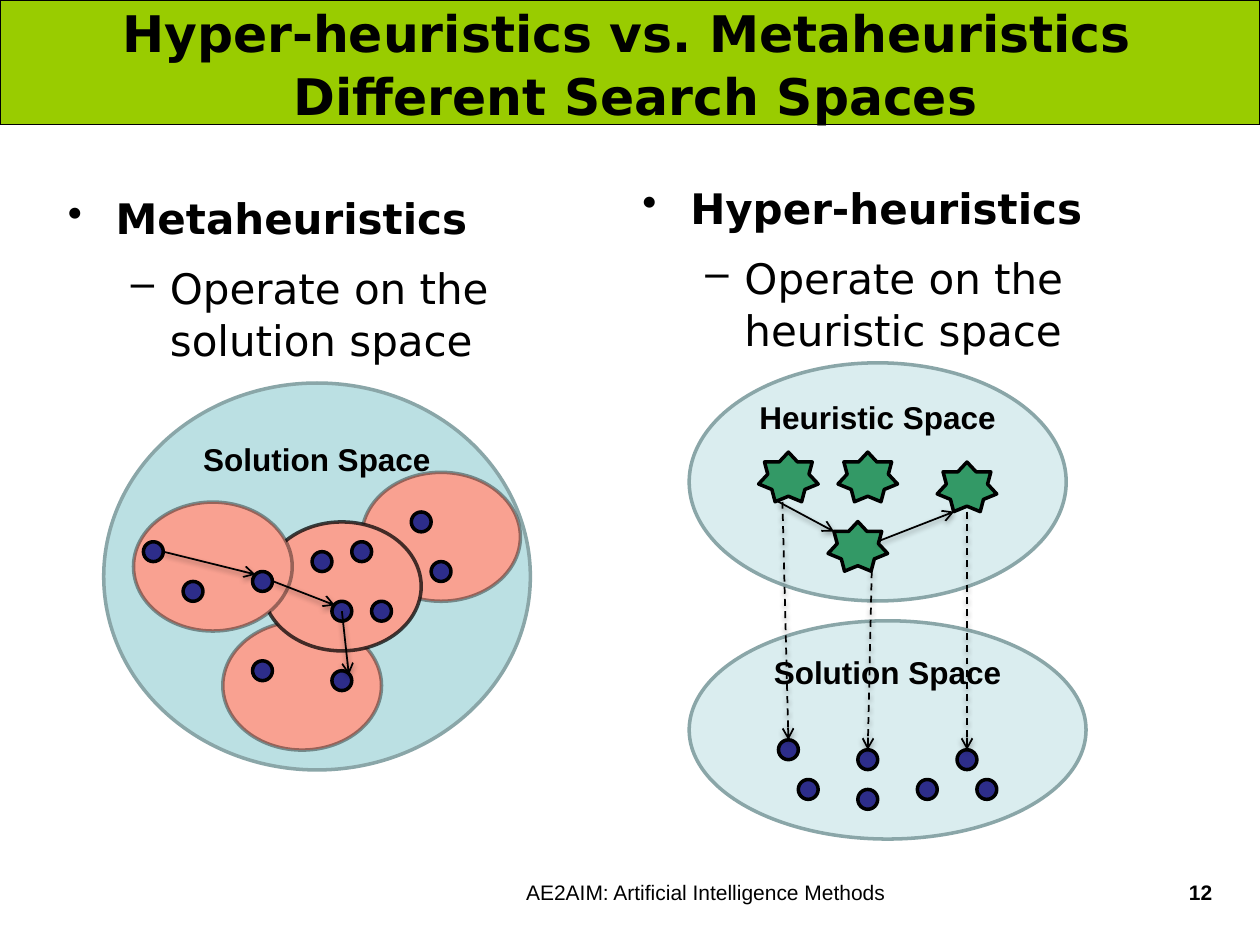
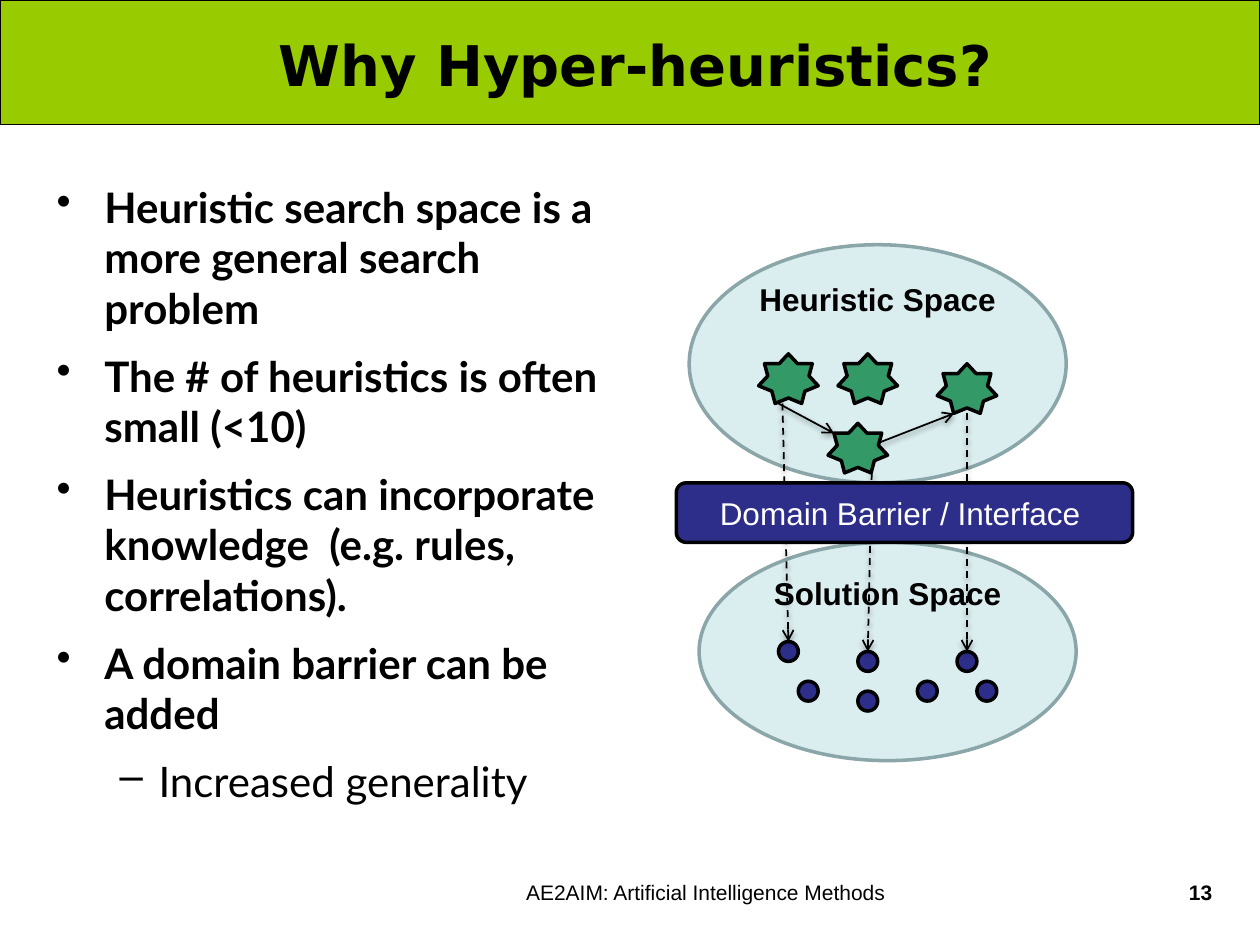
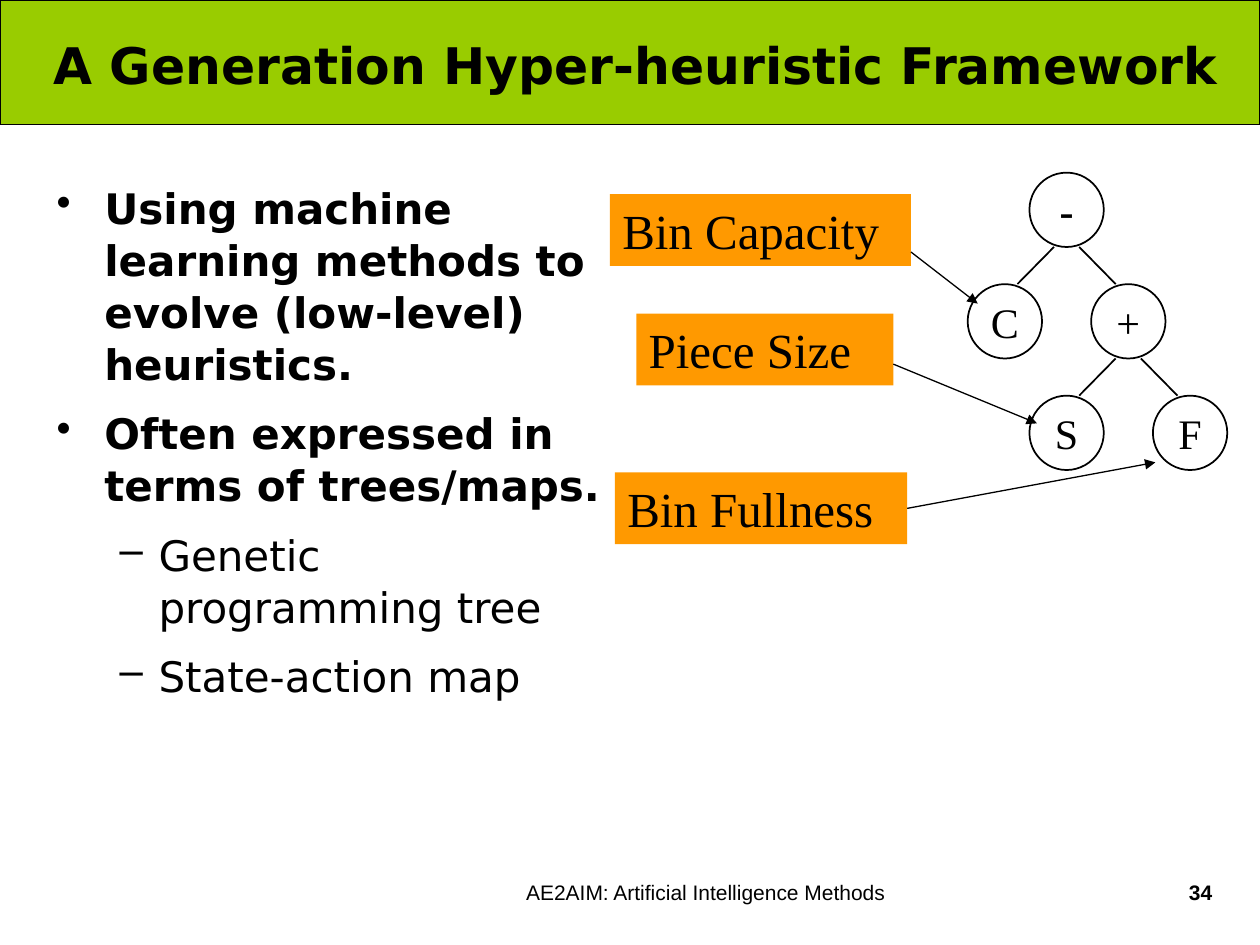
from lxml.etree import SubElement
from pptx import Presentation
from pptx.dml.color import RGBColor
from pptx.enum.dml import MSO_LINE
from pptx.enum.shapes import MSO_CONNECTOR, MSO_SHAPE
from pptx.enum.text import MSO_ANCHOR, PP_ALIGN
from pptx.oxml.ns import qn
from pptx.util import Inches, Mm, Pt

BLACK = RGBColor(0x00, 0x00, 0x00)
WHITE = RGBColor(0xFF, 0xFF, 0xFF)
LIME = RGBColor(0x99, 0xCC, 0x00)
TEAL = RGBColor(0xBB, 0xE0, 0xE3)
PALE = RGBColor(0xDA, 0xED, 0xEF)
SLATE = RGBColor(0x8A, 0xA6, 0xA8)
SALMON = RGBColor(0xF9, 0xA1, 0x91)
NAVY = RGBColor(0x2D, 0x2D, 0x8A)
GREEN = RGBColor(0x33, 0x99, 0x66)
ORANGE = RGBColor(0xFF, 0x99, 0x00)

SANS, LATO, ARIAL, TIMES = "DejaVu Sans", "Lato", "Arial", "Times New Roman"
OVAL, RECT = MSO_SHAPE.OVAL, MSO_SHAPE.RECTANGLE
STAR, ROUND = MSO_SHAPE.STAR_7_POINT, MSO_SHAPE.ROUNDED_RECTANGLE
LEFT, MID, RIGHT = PP_ALIGN.LEFT, PP_ALIGN.CENTER, PP_ALIGN.RIGHT
TOP, HALF = MSO_ANCHOR.TOP, MSO_ANCHOR.MIDDLE
BULLETS = [("•", 0.38, -0.38), ("–", 0.81, -0.31)]
PAGE = (0, 0, Inches(1))  # left, top and unit of a grid


def put(slide, kind, box, grid=PAGE, fill=None, line=None, width=2, alpha=100,
        text=(), font=ARIAL, size=18, color=BLACK, bold=False,
        align=MID, anchor=TOP, inset=None):
    """Add a shape, or a text box if kind is None; text holds (level, words)
    pairs, where a level of None means no bullet."""
    x, y, unit = grid
    place = [int(v) for v in (x + box[0] * unit, y + box[1] * unit,
                              box[2] * unit, box[3] * unit)]
    if kind is None:
        shape = slide.shapes.add_textbox(*place)
    else:
        shape = slide.shapes.add_shape(kind, *place)
        shape.shadow.inherit = False
        shape.fill.solid()
        shape.fill.fore_color.rgb = fill
        if line is None:
            shape.line.fill.background()
        else:
            shape.line.color.rgb = line
            shape.line.width = Pt(width)
            if alpha < 100:
                tint = shape.line._ln.find(".//" + qn("a:srgbClr"))
                SubElement(tint, qn("a:alpha"), val=str(alpha * 1000))
    frame = shape.text_frame
    frame.word_wrap = True
    frame.vertical_anchor = anchor
    if inset is not None:
        frame.margin_left = frame.margin_right = inset
        frame.margin_top = frame.margin_bottom = inset
    for n, (level, words) in enumerate(text):
        para = frame.add_paragraph() if n else frame.paragraphs[0]
        para.alignment = align
        if font == SANS:
            para.line_spacing = 1.03
        if level is not None:
            mark, left, hang = BULLETS[level]
            para.level = level
            if n:
                para.space_before = Pt(10)
            props = para._p.get_or_add_pPr()
            props.set("marL", str(Inches(left)))
            props.set("indent", str(Inches(hang)))
            SubElement(props, qn("a:buChar"), char=mark)
        for i, part in enumerate(words.split("\n")):
            if i:
                para.add_line_break()
            run = para.add_run()
            run.text = part
            run.font.name = font
            run.font.size = Pt(size)
            run.font.bold = bold if level is None else level == 0
            run.font.color.rgb = color
    return shape


def link(slide, start, end, grid=PAGE, width=1, head=None, dash=False, shadow=False):
    x, y, unit = grid
    ends = [int(v) for px, py in (start, end) for v in (x + px * unit, y + py * unit)]
    wire = slide.shapes.add_connector(MSO_CONNECTOR.STRAIGHT, *ends)
    wire.line.color.rgb = BLACK
    wire.line.width = Pt(width)
    if dash:
        wire.line.dash_style = MSO_LINE.DASH
    if head:
        SubElement(wire.line._ln, qn("a:tailEnd"), type=head)
    effect = SubElement(wire._element.spPr, qn("a:effectLst"))
    if shadow:
        outer = SubElement(effect, qn("a:outerShdw"), blurRad=str(Pt(3.1)),
                           dist=str(Pt(1.6)), dir="5400000", rotWithShape="0")
        tint = SubElement(outer, qn("a:srgbClr"), val="000000")
        SubElement(tint, qn("a:alpha"), val="38000")
    return wire


deck = Presentation()
deck.slide_width, deck.slide_height = Inches(10), Inches(7.5)

# Title, size, page number, and bodies as (left, top, font, paragraphs)
pages = [
    ("Hyper-heuristics vs. Metaheuristics \nDifferent Search Spaces", 28.8, "12", [
        (0.44, 1.47, SANS, [(0, "Metaheuristics"),
                            (1, "Operate on the solution space")]),
        (5, 1.39, SANS, [(0, "Hyper-heuristics"),
                         (1, "Operate on the heuristic space")])]),
    ("Why Hyper-heuristics?", 32, "13", [
        (0.35, 1.39, LATO, [
            (0, "Heuristic search space is a more general search problem"),
            (0, "The # of heuristics is often small (<10)"),
            (0, "Heuristics can incorporate knowledge  (e.g. rules, correlations)."),
            (0, "A domain barrier can be added"),
            (1, "Increased generality")])]),
    ("A Generation Hyper-heuristic Framework", 28.8, "34", [
        (0.35, 1.39, SANS, [
            (0, "Using machine learning methods to evolve (low-level) heuristics."),
            (0, "Often expressed in terms of trees/maps."),
            (1, "Genetic programming tree"),
            (1, "State-action map")])]),
]
slides = []
for title, size, number, bodies in pages:
    slide = deck.slides.add_slide(deck.slide_layouts[6])
    slides.append(slide)
    put(slide, RECT, (0, 0, 10, 0.99), fill=LIME, line=BLACK, width=0.75)
    for left, top, font, text in bodies:
        put(slide, None, (left, top, 4.55, 5.27), text=text, font=font, size=24, align=LEFT)
    put(slide, None, (2.87, 6.93, 5.51, 0.52), size=12,
        text=[(None, "AE2AIM: Artificial Intelligence Methods ")])
    put(slide, None, (8.62, 6.93, 1.1, 0.52), text=[(None, number)], size=12,
        bold=True, align=RIGHT)
    put(slide, None, (0.28, 0.08, 9.53, 0.84), text=[(None, title)], font=SANS,
        size=size, bold=True, anchor=HALF)
versus, why, frame = slides

# Metaheuristics: a walk through regions of the solution space
grid = (Inches(1.06), Inches(3.04), Mm(2))
put(versus, OVAL, (-3, 0, 43, 39), grid, TEAL, SLATE,
    text=[(None, "Solution Space")], bold=True, inset=0)
for col, row, alpha in [(9, 24, 38), (23, 9, 38), (13, 14, 73), (0, 12, 38)]:
    put(versus, OVAL, (col, row, 16, 13), grid, SALMON, BLACK, alpha=alpha)
for col, row in [(20, 22), (1, 16), (12, 19), (18, 17), (28, 13), (22, 16),
                 (20, 29), (24, 22), (5, 20), (12, 28), (30, 18)]:
    put(versus, OVAL, (col, row, 2, 2), grid, NAVY, BLACK)
for start, end in [((3, 17), (12.3, 19.3)), ((14.1, 20), (20.3, 22.4)),
                   ((21, 23), (21.7, 29.4))]:
    link(versus, start, end, grid, head="arrow", shadow=True)

# Hyper-heuristics: heuristics above, the solutions they reach below
for slide, top, upper, lower in [(versus, 2.88, (0, 0, 38, 24), (0, 26, 40, 22)),
                                 (why, 2.1, (0, -2, 38, 24), (1, 28, 38, 22))]:
    grid = (Inches(5.47), Inches(top), Mm(2))
    put(slide, OVAL, lower, grid, PALE, SLATE,
        text=[(None, "Solution Space")], bold=True, inset=0)
    for col, row in [(27, 39), (23, 42), (11, 42), (29, 42), (17, 39), (17, 43), (9, 38)]:
        put(slide, OVAL, (col, row, 2, 2), grid, NAVY, BLACK)
    put(slide, OVAL, upper, grid, PALE, SLATE,
        text=[(None, "Heuristic Space")], bold=True, inset=0)
    for col, row in [(7, 9), (15, 9), (25, 10), (14, 16)]:
        put(slide, STAR, (col, row, 6, 5), grid, GREEN, BLACK)
    for start, end, dash in [((9, 14), (14.6, 17), False), ((18.4, 21), (18, 39), True),
                             ((28, 15), (28, 39), True), ((19, 18), (26.7, 15), False),
                             ((9.4, 14), (10, 38), True)]:
        link(slide, start, end, grid, head="arrow", dash=dash, shadow=True)
put(why, ROUND, (-1.3, 22, 46, 6), grid, NAVY, BLACK, color=WHITE, anchor=HALF,
    inset=0, text=[(None, "Domain Barrier / Interface ")])

# Expression tree: symbol -> column, row
STEP, DROP, SIDE, LEAN = 0.49, 0.885, 0.59, 0.1
grid = (Inches(7.68), Inches(1.37), Inches(1))
tree = {"-": (1, 0), "+": (2, 1), "F": (3, 2), "S": (1, 2), "C": (0, 1)}
for sign, (col, row) in tree.items():
    put(frame, OVAL, (col * STEP, row * DROP, SIDE, SIDE), grid, WHITE, BLACK, 1,
        text=[(None, sign)], font=TIMES, size=24, bold=sign == "-", anchor=HALF, inset=0)
for above, below in ["-+", "-C", "+F", "+S"]:
    (col, row), (to, deep) = tree[above], tree[below]
    lean = LEAN if to > col else -LEAN
    link(frame, (col * STEP + SIDE / 2 + lean, row * DROP + SIDE),
         (to * STEP + SIDE / 2 - lean, deep * DROP), grid)

# Terminal names: box, start height of the arrow, its end
for name, left, top, wide, start, end in [
        ("Bin Fullness", 4.88, 3.75, 2.32, None, (9.17, 3.67)),
        ("Bin Capacity", 4.84, 1.54, 2.39, 2, (7.76, 2.41)),
        ("Piece Size", 5.05, 2.49, 2.04, 2.89, (8.23, 3.36))]:
    label = put(frame, RECT, (left, top, wide, 0.57), fill=ORANGE, align=LEFT,
                text=[(None, name)], font=TIMES, size=28)
    wire = link(frame, (left + wide, start or top), end, width=0.75, head="triangle")
    if start is None:
        wire.begin_connect(label, 3)

deck.save("out.pptx")
